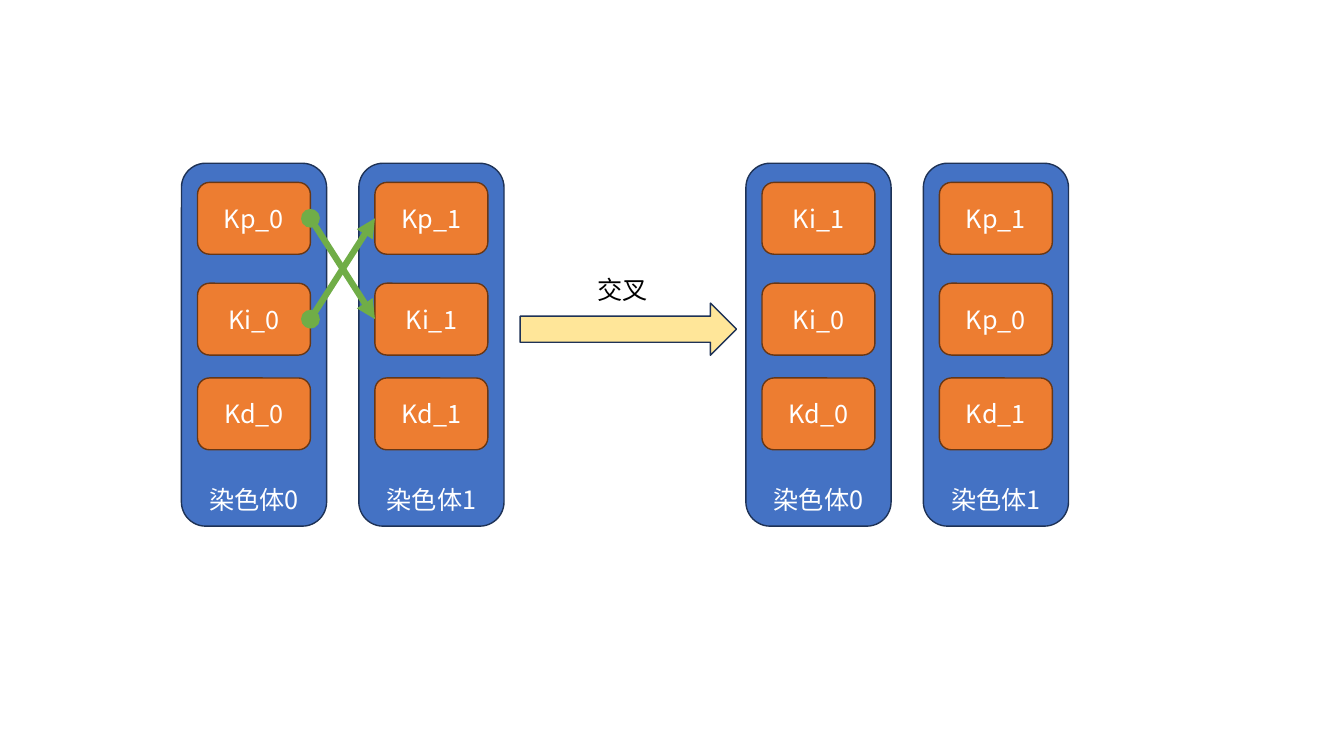
from dataclasses import dataclass

from pptx import Presentation
from pptx.dml.color import RGBColor
from pptx.enum.shapes import MSO_CONNECTOR, MSO_SHAPE
from pptx.enum.text import MSO_ANCHOR, MSO_AUTO_SIZE, PP_ALIGN
from pptx.oxml.ns import qn
from pptx.util import Inches, Pt
from lxml.etree import SubElement


@dataclass(frozen=True)
class Theme:
    font: str = "Noto Sans CJK SC"
    size: int = 18
    chromosome: str = "4472C4"
    gene: str = "ED7D31"
    gene_edge: str = "683715"
    edge: str = "1E3256"
    swap: str = "70AD47"
    arrow: str = "FFE699"
    light: str = "FFFFFF"
    dark: str = "000000"
    edge_width: float = 1
    swap_width: float = 4.5


class Diagram:
    GENE_ROWS = (24.13, 37.47, 50)

    def __init__(self, prs, theme):
        self.prs = prs
        self.theme = theme
        self.s = prs.slides.add_slide(prs.slide_layouts[6])

    def box(self, x, y, w, h):
        sw, sh = self.prs.slide_width, self.prs.slide_height
        return [int(v * full / 100) for v, full in ((x, sw), (y, sh), (w, sw), (h, sh))]

    def add_text(self, sp, text, color, align=PP_ALIGN.CENTER):
        p = sp.text_frame.paragraphs[0]
        p.alignment = align
        r = p.add_run()
        r.text = text
        r.font.name = self.theme.font
        r.font.size = Pt(self.theme.size)
        r.font.color.rgb = RGBColor.from_string(color)
        SubElement(r.font._element, qn("a:ea"), typeface=self.theme.font)

    def shape(self, kind, box, fill, edge, text="", anchor=MSO_ANCHOR.MIDDLE):
        sp = self.s.shapes.add_shape(kind, *self.box(*box))
        sp.shadow.inherit = False
        sp.fill.solid()
        sp.fill.fore_color.rgb = RGBColor.from_string(fill)
        sp.line.color.rgb = RGBColor.from_string(edge)
        sp.line.width = Pt(self.theme.edge_width)
        if text:
            sp.text_frame.word_wrap = True
            sp.text_frame.vertical_anchor = anchor
            self.add_text(sp, text, self.theme.light)
        return sp

    def chromosome(self, x, name, genes):
        t = self.theme
        self.shape(MSO_SHAPE.ROUNDED_RECTANGLE, (x, 21.6, 10.8, 48),
                   t.chromosome, t.edge, name, MSO_ANCHOR.BOTTOM)
        return [self.shape(MSO_SHAPE.ROUNDED_RECTANGLE, (x + 1.2, y, 8.4, 9.5),
                           t.gene, t.gene_edge, gene)
                for y, gene in zip(self.GENE_ROWS, genes)]

    def swap(self, source, target):
        c = self.s.shapes.add_connector(MSO_CONNECTOR.STRAIGHT, 0, 0, 0, 0)
        c.begin_connect(source, 3)
        c.end_connect(target, 1)
        c.line.color.rgb = RGBColor.from_string(self.theme.swap)
        c.line.width = Pt(self.theme.swap_width)
        ln = c._element.spPr.find(qn("a:ln"))
        SubElement(ln, qn("a:headEnd"), type="oval")
        SubElement(ln, qn("a:tailEnd"), type="triangle")
        SubElement(c._element.spPr, qn("a:effectLst"))

    def label(self, box, text):
        sp = self.s.shapes.add_textbox(*self.box(*box))
        sp.text_frame.word_wrap = False
        sp.text_frame.auto_size = MSO_AUTO_SIZE.SHAPE_TO_FIT_TEXT
        self.add_text(sp, text, self.theme.dark, PP_ALIGN.LEFT)


def main():
    prs = Presentation()
    prs.slide_width, prs.slide_height = Inches(13.33), Inches(7.5)
    theme = Theme()
    d = Diagram(prs, theme)

    first = d.chromosome(13.5, "染色体0", ("Kp_0", "Ki_0", "Kd_0"))
    second = d.chromosome(26.7, "染色体1", ("Kp_1", "Ki_1", "Kd_1"))
    d.swap(first[0], second[1])
    d.swap(first[1], second[0])

    d.shape(MSO_SHAPE.RIGHT_ARROW, (38.7, 40.1, 16.1, 6.9), theme.arrow, theme.edge)
    d.label((43.7, 35.6, 5.3, 5.3), "交叉")

    d.chromosome(55.5, "染色体0", ("Ki_1", "Ki_0", "Kd_0"))
    d.chromosome(68.7, "染色体1", ("Kp_1", "Kp_0", "Kd_1"))
    prs.save("out.pptx")


if __name__ == "__main__":
    main()
